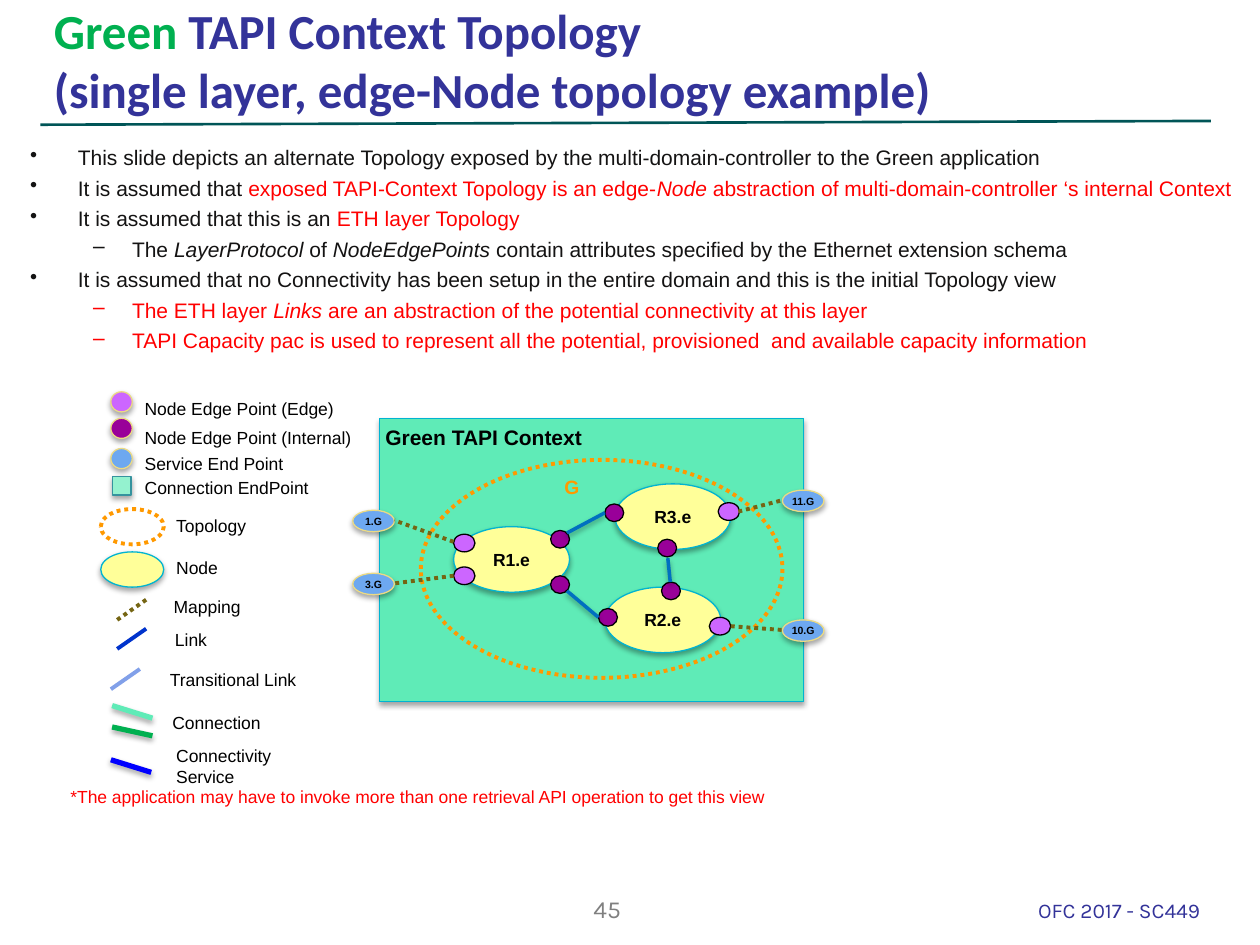
from typing import NamedTuple, Optional

from pptx import Presentation
from pptx import util as u
from pptx.dml.color import RGBColor
from pptx.enum import dml, shapes, text
from pptx.oxml.ns import qn
from pptx.oxml.xmlchemy import OxmlElement

BLACK, RED, INK, NAVY = "000000", "FF0000", "141313", "333399"
TEAL, YELLOW, ORANGE, BROWN = "00B4D1", "FFFF99", "FF9900", "756513"
EDGE, INTERNAL, SERVICE, SAND = "CC66FF", "990099", "6DA8F0", "EBDA84"
MINT, GREEN, LINK = "5FEBB7", "00B050", "0070C0"
OVAL, RECT = shapes.MSO_SHAPE.OVAL, shapes.MSO_SHAPE.RECTANGLE


class Run(NamedTuple):
    text: str
    color: str = BLACK
    italic: bool = False


class Font(NamedTuple):
    size: float = 10
    name: str = "Arial"
    bold: bool = False


class Box(NamedTuple):
    x: float
    y: float
    w: float
    h: float


class Look(NamedTuple):
    fill: Optional[str]
    line: str
    width: float = 0.75
    dotted: bool = False
    shadow: bool = False


class Stroke(NamedTuple):
    color: str
    width: float = 2.25
    dotted: bool = False
    shadow: bool = False


class Bullet(NamedTuple):
    level: int
    runs: list


NODE = Look(YELLOW, TEAL, shadow=True)
TOPOLOGY = Look(None, ORANGE, 2.25, dotted=True)
MAPPING = Stroke(BROWN, dotted=True)

prs = Presentation()
prs.slide_width, prs.slide_height = u.Inches(10), u.Inches(7.5)
s = prs.slides.add_slide(prs.slide_layouts[6])


def rgb(value: str) -> RGBColor:
    return RGBColor.from_string(value)


def set_effects(item, shadow: bool) -> None:
    """Replace the theme's shadow with a soft one below the item, or with none."""
    effects = OxmlElement("a:effectLst")
    if shadow:
        outer = OxmlElement("a:outerShdw")
        for key, value in (("blurRad", u.Pt(3.1)), ("dist", u.Pt(1.8)),
                           ("dir", 90 * 60000), ("rotWithShape", 0)):
            outer.set(key, str(int(value)))
        color, alpha = OxmlElement("a:srgbClr"), OxmlElement("a:alpha")
        color.set("val", BLACK)
        alpha.set("val", "35000")
        color.append(alpha)
        outer.append(color)
        effects.append(outer)
    item._element.spPr.append(effects)


def set_line(line, color: str, width: float, dotted: bool) -> None:
    line.color.rgb = rgb(color)
    line.width = u.Pt(width)
    if dotted:
        line.dash_style = dml.MSO_LINE.ROUND_DOT


def add_runs(p, runs: list, font: Font) -> None:
    for part in runs:
        if part.text == "\v":
            p.add_line_break()
            continue
        r = p.add_run()
        r.text = part.text
        r.font.name, r.font.size = font.name, u.Pt(font.size)
        r.font.bold, r.font.italic = font.bold, part.italic
        r.font.color.rgb = rgb(part.color)


def add_shape(kind, box: Box, look: Look, label: str = "",
              font: Font = Font(bold=True), side: float = 0.05) -> None:
    sp = s.shapes.add_shape(kind, *map(u.Inches, box))
    if look.fill:
        sp.fill.solid()
        sp.fill.fore_color.rgb = rgb(look.fill)
    else:
        sp.fill.background()
    set_line(sp.line, look.line, look.width, look.dotted)
    set_effects(sp, look.shadow)
    if label:
        tf = sp.text_frame
        tf.margin_left = tf.margin_right = u.Inches(side)
        tf.margin_top = tf.margin_bottom = u.Inches(0.05)
        tf.vertical_anchor = text.MSO_ANCHOR.MIDDLE
        tf.paragraphs[0].alignment = text.PP_ALIGN.CENTER
        add_runs(tf.paragraphs[0], [Run(label)], font)


def add_line(x1: float, y1: float, x2: float, y2: float, stroke: Stroke) -> None:
    c = s.shapes.add_connector(shapes.MSO_CONNECTOR.STRAIGHT,
                               *map(u.Inches, (x1, y1, x2, y2)))
    set_line(c.line, stroke.color, stroke.width, stroke.dotted)
    set_effects(c, stroke.shadow)


def add_text(box: Box, runs: list, font: Font = Font(), wrap: bool = True):
    tf = s.shapes.add_textbox(*map(u.Inches, box)).text_frame
    tf.word_wrap = wrap
    add_runs(tf.paragraphs[0], runs, font)
    return tf


def add_bullets(box: Box, bullets: list) -> None:
    tf = add_text(box, [])
    for i, bullet in enumerate(bullets):
        p = tf.add_paragraph() if i else tf.paragraphs[0]
        p.level = bullet.level
        indent, hanging, mark = ((0.38, 0.38, "•"), (0.81, 0.31, "–"))[bullet.level]
        pPr = p._p.get_or_add_pPr()
        pPr.set("marL", str(u.Inches(indent)))
        pPr.set("indent", str(-u.Inches(hanging)))
        char = OxmlElement("a:buChar")
        char.set("char", mark)
        pPr.append(char)
        if i:
            p.space_before = u.Pt(3)
        add_runs(p, bullet.runs, Font(12))


# Heading and bullets
add_line(0.32, 0.99, 9.61, 0.96, Stroke("005557", 1.5))
title = add_text(Box(0.33, 0.44, 9, 0.55),
                 [Run("Green", GREEN), Run(" TAPI Context Topology", NAVY), Run("\v"),
                  Run("(single layer, edge-Node topology example)", NAVY)],
                 Font(28, "Calibri", True))
title.vertical_anchor = text.MSO_ANCHOR.BOTTOM
add_bullets(Box(0.14, 1.1, 9.77, 1.63), [
    Bullet(0, [Run("This slide depicts an alternate Topology exposed by the "
                   "multi-domain-controller to the Green application", INK)]),
    Bullet(0, [Run("It is assumed that ", INK),
               Run("exposed TAPI-Context Topology is an edge-", RED), Run("Node", RED, True),
               Run(" abstraction of multi-domain-controller ‘s internal Context", RED)]),
    Bullet(0, [Run("It is assumed that this is an ", INK), Run("ETH layer Topology", RED)]),
    Bullet(1, [Run("The ", INK), Run("LayerProtocol", INK, True), Run(" of ", INK),
               Run("NodeEdgePoints", INK, True),
               Run(" contain attributes specified by the Ethernet extension schema", INK)]),
    Bullet(0, [Run("It is assumed that no Connectivity has been setup in the entire "
                   "domain and this is the initial Topology view", INK)]),
    Bullet(1, [Run("The ETH layer ", RED), Run("Links", RED, True),
               Run(" are an abstraction of the potential connectivity at this layer", RED)]),
    Bullet(1, [Run("TAPI Capacity pac is used to represent all the potential, "
                   "provisioned  and available capacity information", RED)]),
])

# Topology diagram
add_shape(RECT, Box(3.01, 3.32, 3.37, 2.25), Look(MINT, TEAL, shadow=True))
add_shape(OVAL, Box(3.34, 3.65, 2.87, 1.73), TOPOLOGY)
add_text(Box(4.38, 3.72, 0.32, 0.29), [Run("G", ORANGE)], Font(11, bold=True), wrap=False)
add_text(Box(2.96, 3.32, 1.78, 0.3), [Run("Green TAPI Context")], Font(12, bold=True), wrap=False)
for name, x, y in (("R1.e", 3.6, 4.18), ("R3.e", 4.88, 3.84), ("R2.e", 4.8, 4.66)):
    add_shape(OVAL, Box(x, y, 0.92, 0.52), NODE, name)
for name, x, y in (("1.G", 2.8, 4.05), ("3.G", 2.8, 4.55),
                   ("11.G", 6.21, 3.89), ("10.G", 6.21, 4.92)):
    add_shape(OVAL, Box(x, y, 0.33, 0.17), Look(SERVICE, SAND, shadow=True),
              name, Font(6, bold=True), side=0)
for x, y in ((3.6, 4.24), (3.6, 4.5), (5.63, 4.9), (5.7, 3.99)):
    add_shape(OVAL, Box(x, y, 0.17, 0.14), Look(EDGE, BLACK))
for x, y in ((4.37, 4.21), (4.8, 4), (4.37, 4.57), (4.75, 4.83), (5.25, 4.62), (5.22, 4.28)):
    add_shape(OVAL, Box(x, y, 0.15, 0.14), Look(INTERNAL, BLACK))
for ends in ((3.6, 4.3, 3.13, 4.13), (3.6, 4.57, 3.13, 4.63),
             (5.86, 4.06, 6.21, 3.97), (5.8, 4.97, 6.21, 5)):
    add_line(*ends, MAPPING)
for ends in ((4.5, 4.23, 4.8, 4.07), (4.5, 4.69, 4.75, 4.9), (5.32, 4.62, 5.3, 4.43)):
    add_line(*ends, Stroke(LINK, 2, shadow=True))

# Legend
for y, color in ((3.11, EDGE), (3.32, INTERNAL), (3.56, SERVICE)):
    add_shape(OVAL, Box(0.88, y, 0.17, 0.16), Look(color, SAND, shadow=True))
add_shape(RECT, Box(0.89, 3.78, 0.15, 0.15), Look("94F2CF", "35939E", shadow=True))
for y, look in ((4.04, TOPOLOGY), (4.38, NODE)):
    add_shape(OVAL, Box(0.8, y, 0.5, 0.28), look)
for x, y, stroke in ((0.93, 4.76, MAPPING), (0.93, 4.99, Stroke("0033CC")),
                     (0.88, 5.31, Stroke("81A0E9"))):
    add_line(x + 0.23, y, x, y + 0.16, stroke)
for x, y, drop, color in ((0.89, 5.6, 0.1, MINT), (0.89, 5.77, 0.07, GREEN),
                          (0.88, 6.03, 0.1, "0000FF")):
    add_line(x, y, x + 0.32, y + drop, Stroke(color, 3, shadow=True))
for label, x, y, w in (
        ("Node Edge Point (Edge)", 1.05, 3.11, 1.87),
        ("Node Edge Point (Internal)", 1.05, 3.34, 1.87),
        ("Service End Point", 1.05, 3.55, 1.51), ("Connection EndPoint", 1.05, 3.74, 1.51),
        ("Topology", 1.3, 4.04, 0.92), ("Node", 1.3, 4.37, 0.92),
        ("Mapping", 1.28, 4.68, 0.91), ("Link", 1.29, 4.94, 0.92),
        ("Transitional Link", 1.25, 5.26, 1.53), ("Connection", 1.27, 5.6, 1.12),
        ("Connectivity Service", 1.3, 5.86, 1.12)):
    add_text(Box(x, y, w, 0.44 if label == "Connectivity Service" else 0.2), [Run(label)])

# Footnote and footer
add_text(Box(0.46, 6.19, 6.58, 0.27),
         [Run("*The application may have to invoke more than one retrieval API "
              "operation to get this view", RED)])
number = add_text(Box(4.34, 7.05, 0.96, 0.4), [Run("45", "808080")], Font(14, "Karla"))
number.paragraphs[0].alignment = text.PP_ALIGN.CENTER
add_text(Box(8.14, 7.07, 1.8, 0.28), [Run("OFC 2017 - SC449", NAVY)], Font(12, "Karla"))

prs.save("out.pptx")
